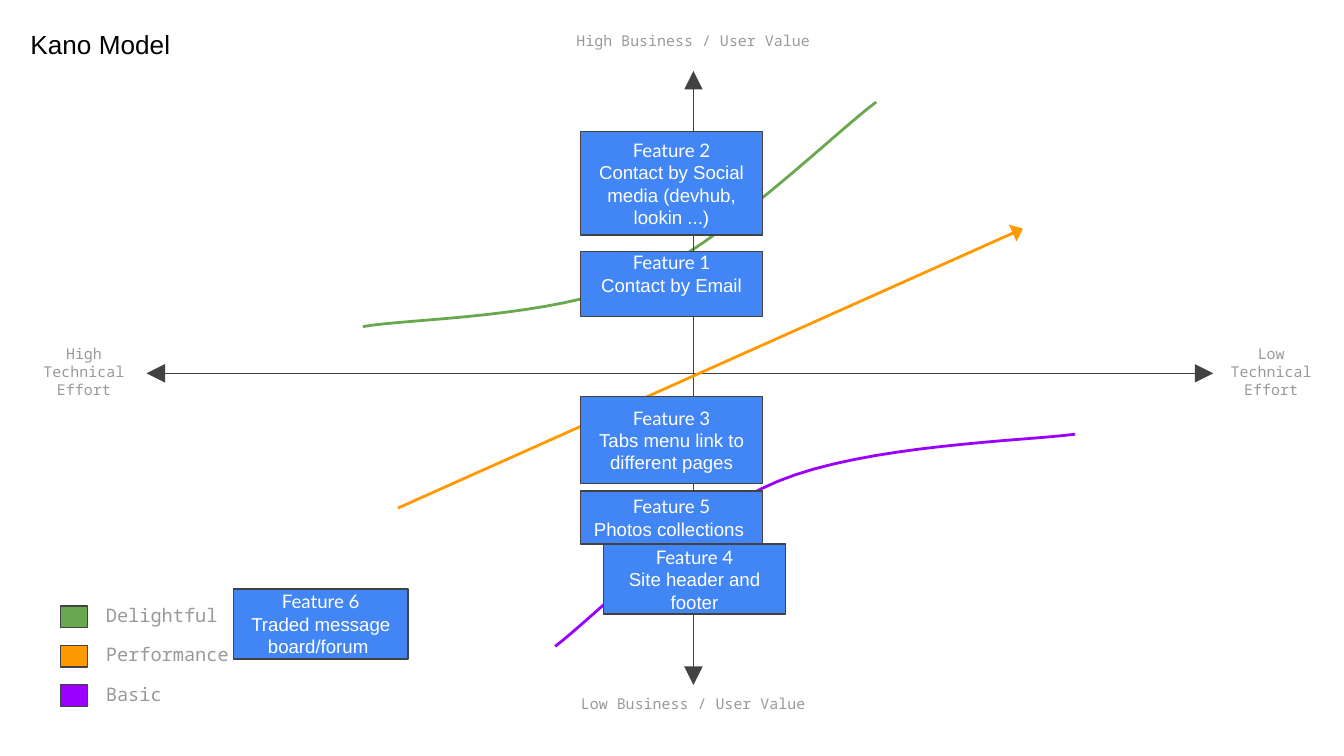
from lxml.etree import SubElement
from pptx import Presentation
from pptx.dml.color import RGBColor
from pptx.enum.shapes import MSO_CONNECTOR, MSO_SHAPE
from pptx.enum.text import MSO_ANCHOR, PP_ALIGN
from pptx.oxml.ns import qn
from pptx.util import Pt

DARK = RGBColor(0x42, 0x42, 0x42)
GRAY = RGBColor(0x99, 0x99, 0x99)
BLACK = RGBColor(0, 0, 0)
WHITE = RGBColor(0xFF, 0xFF, 0xFF)
BLUE = RGBColor(0x42, 0x85, 0xF4)
GREEN = RGBColor(0x6A, 0xA8, 0x4F)
ORANGE = RGBColor(0xFF, 0x99, 0x00)
PURPLE = RGBColor(0x99, 0x00, 0xFF)
MONO = "Noto Sans Mono"

prs = Presentation()
prs.slide_width, prs.slide_height = Pt(720), Pt(405)
s = prs.slides.add_slide(prs.slide_layouts[6])


def write(sp, text, fonts=(MONO,), size=8, color=GRAY, align=PP_ALIGN.CENTER,
          anchor=MSO_ANCHOR.TOP, top=7.2):
    tf = sp.text_frame
    tf.word_wrap = True
    tf.vertical_anchor = anchor
    tf.margin_left = tf.margin_right = tf.margin_bottom = Pt(7.2)
    tf.margin_top = Pt(top)
    for i, (line, font) in enumerate(zip(text.split("\n"), fonts)):
        p = tf.paragraphs[0] if i == 0 else tf.add_paragraph()
        p.alignment = align
        r = p.add_run()
        r.text = line
        r.font.name, r.font.size = font, Pt(size)
        r.font.color.rgb = color


def box(x, y, w, h, fill):
    sp = s.shapes.add_shape(MSO_SHAPE.RECTANGLE, Pt(x), Pt(y), Pt(w), Pt(h))
    sp.shadow.inherit = False
    sp.fill.solid()
    sp.fill.fore_color.rgb = fill
    sp.line.color.rgb, sp.line.width = DARK, Pt(0.75)
    return sp


curves = [
    (GREEN, [(194.4, 175), (218.9, 170.6), (295.2, 170.6), (341.3, 150.5),
             (386.6, 131), (447.8, 70.6), (469.4, 54.7)]),
    (PURPLE, [(297.4, 346.3), (317.5, 331.2), (370.8, 276.5), (416.9, 257.8),
              (463.7, 238.3), (549.4, 236.2), (576, 232.6)]),
]
for color, knots in curves:
    points = []
    for k in (0, 3):
        for t in [n / 16 for n in range(1, 17)]:
            weights = ((1 - t) ** 3, 3 * t * (1 - t) ** 2, 3 * t ** 2 * (1 - t), t ** 3)
            points.append([Pt(sum(c * w for c, w in zip(axis, weights)))
                           for axis in zip(*knots[k:k + 4])])
    fb = s.shapes.build_freeform(Pt(knots[0][0]), Pt(knots[0][1]))
    fb.add_line_segments(points, close=False)
    sp = fb.convert_to_shape()
    sp.shadow.inherit = False
    sp.fill.background()
    sp.line.color.rgb, sp.line.width = color, Pt(1.5)

for x1, y1, x2, y2, color, width, ends in [
    (371.5, 38, 371.5, 367, DARK, 0.75, ("a:headEnd", "a:tailEnd")),
    (650, 200, 78.5, 200, DARK, 0.75, ("a:headEnd", "a:tailEnd")),
    (213.2, 272.2, 548, 122.5, ORANGE, 1.5, ("a:tailEnd",)),
]:
    c = s.shapes.add_connector(MSO_CONNECTOR.STRAIGHT, Pt(x1), Pt(y1), Pt(x2), Pt(y2))
    c.line.color.rgb, c.line.width = color, Pt(width)
    for end in ends:
        SubElement(c.line._get_or_add_ln(), qn(end), type="triangle", w="lg", len="lg"
                   if color == DARK else "med")
    SubElement(c._element.spPr, qn("a:effectLst"))

left = dict(align=PP_ALIGN.LEFT)
labels = [
    (301, 12.2, 141, "High Business / User Value", {}),
    (301, 367.2, 141, "Low Business / User Value", {}),
    (8, 186, 74, "High Technical Effort", dict(anchor=MSO_ANCHOR.MIDDLE)),
    (650, 186, 62, "Low Technical Effort", dict(anchor=MSO_ANCHOR.MIDDLE)),
    (9.2, 8, 112, "Kano Model", dict(fonts=("Arial",), size=14, color=BLACK, **left)),
]
legend = [("Delightful", GREEN), ("Performance", ORANGE), ("Basic", PURPLE)]
for i, (name, color) in enumerate(legend):
    y = 324.7 + 21.1 * i
    box(32.4, y, 14.4, 11.5, color)
    labels.append((49.7, y - 7.2, 141, name, dict(size=10, **left)))

for x, y, w, text, fmt in labels:
    sp = s.shapes.add_textbox(Pt(x), Pt(y), Pt(w), Pt(26))
    write(sp, text, **fmt)

middle = dict(anchor=MSO_ANCHOR.MIDDLE)
for x, y, w, h, text, fmt in [
    (311, 70.5, 97.5, 55.5, "Feature 2\nContact by Social media (devhub, lookin ...)", middle),
    (311, 134.6, 97.5, 35, "Feature 1\nContact by Email", dict(top=0)),
    (323.3, 291.5, 97.5, 37.5, "Feature 4\nSite header and footer", middle),
    (311, 263, 97.5, 28.5, "Feature 5\nPhotos collections ", middle),
    (311, 212.5, 97.5, 46.5, "Feature 3\nTabs menu link to different pages", middle),
    (125, 315.5, 93.6, 37.5, "Feature 6\nTraded message board/forum ", middle),
]:
    write(box(x, y, w, h, BLUE), text, fonts=("Lato", "Arial"), size=10, color=WHITE, **fmt)

prs.save("out.pptx")
